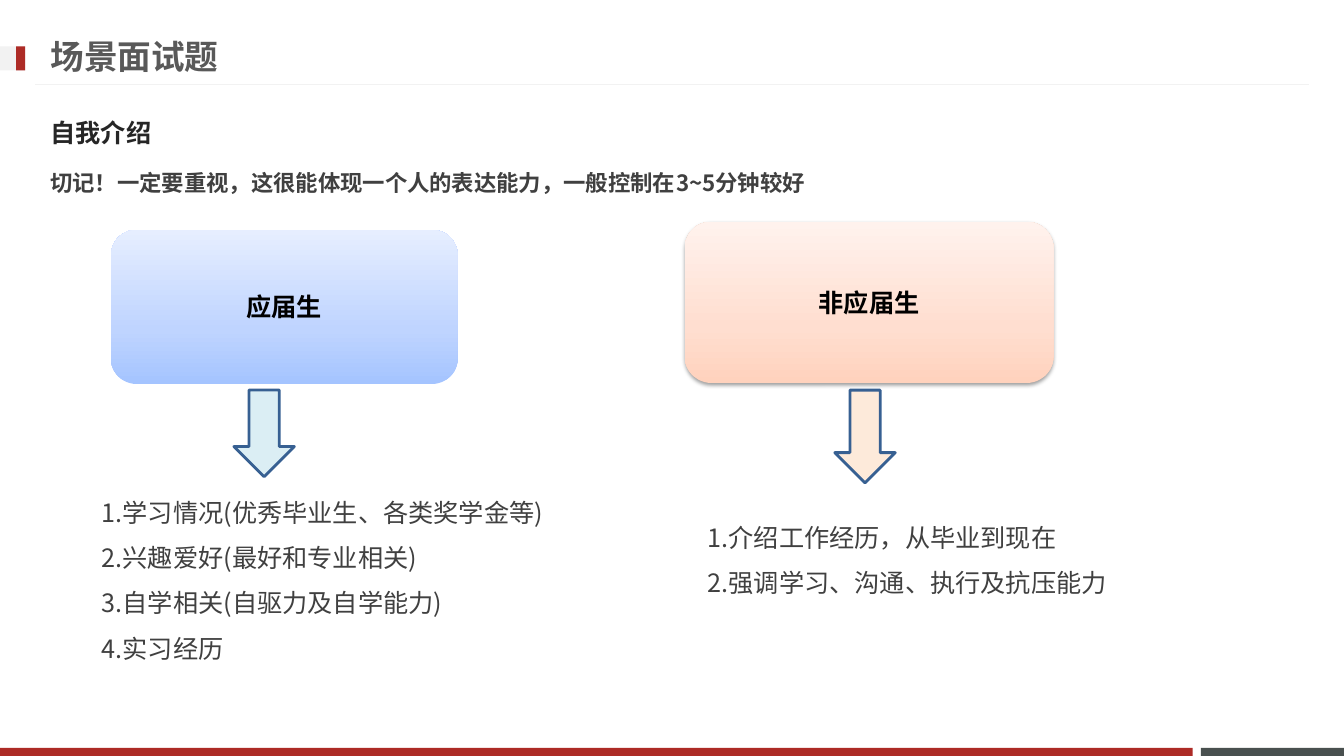
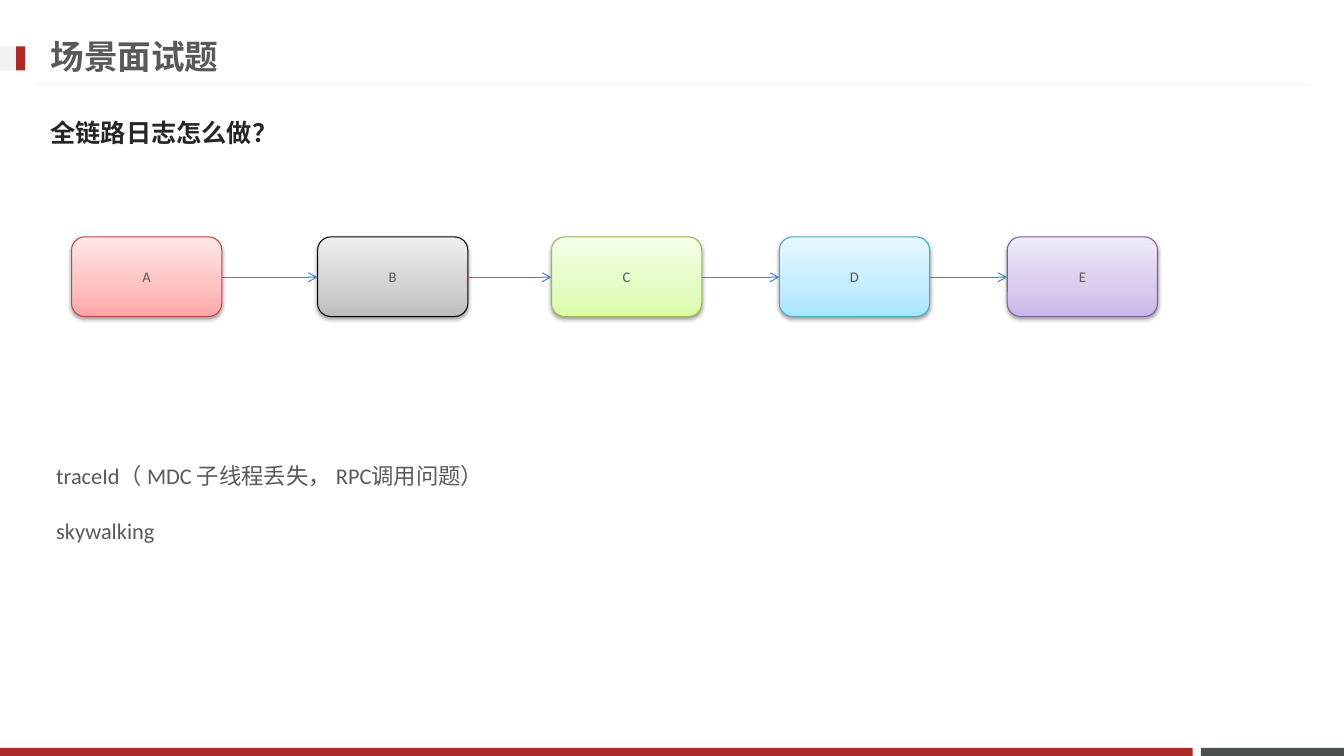
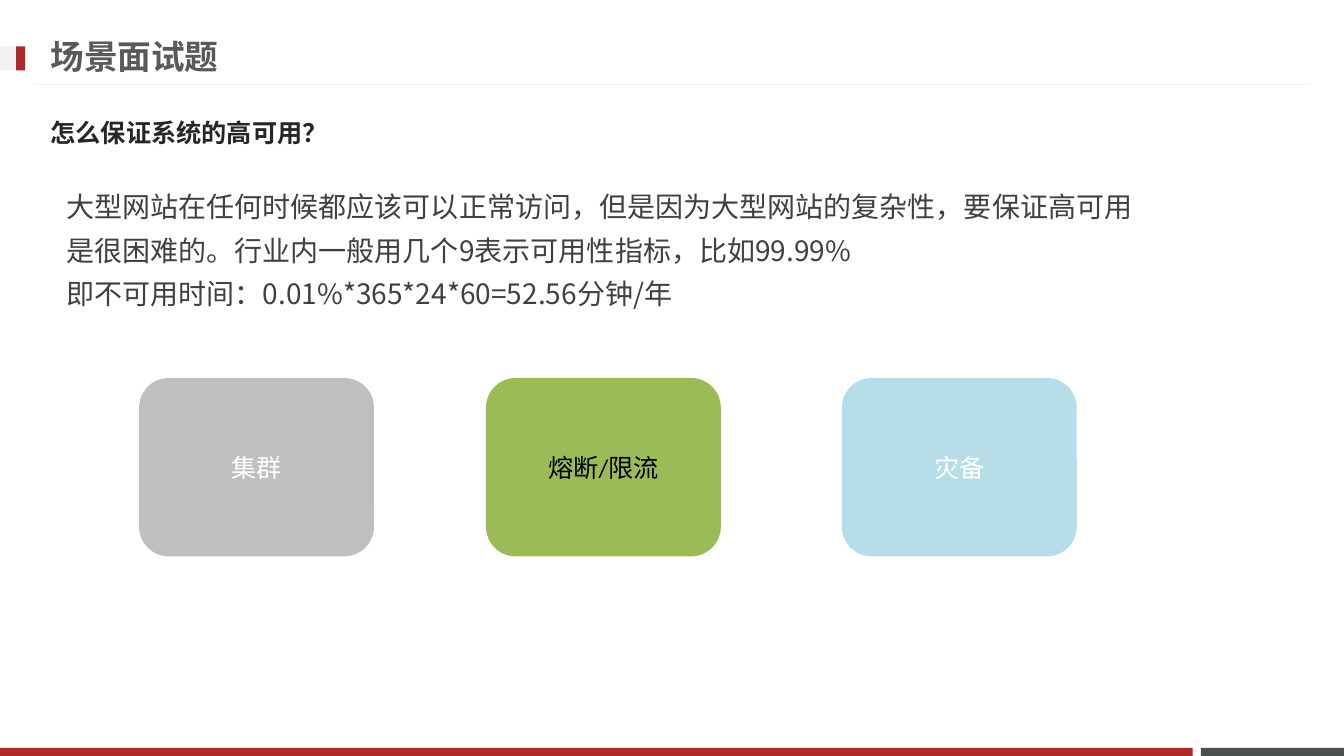
"""Build three interview-question slides with a shared layout."""

import dataclasses
import itertools
import typing

import lxml.etree
import pptx
import pptx.dml.color
import pptx.enum.shapes
import pptx.enum.text
import pptx.oxml.ns
import pptx.util

EMU_PER_PX = 9144
SHAPES = pptx.enum.shapes.MSO_SHAPE
ALIGN = pptx.enum.text.PP_ALIGN
ANCHOR = pptx.enum.text.MSO_ANCHOR
qn = pptx.oxml.ns.qn


class TextStyle(typing.NamedTuple):
    size: float
    color: str
    font: str = "Noto Sans CJK SC"
    bold: bool = False
    line_spacing: float = 1.0
    gap: float = 0


@dataclasses.dataclass(frozen=True)
class Theme:
    red: str = "AD2B26"
    slate: str = "49504F"
    pale: str = "F2F2F2"
    arrow_line: str = "376092"
    link_line: str = "4B7EBC"
    east_asian: str = "Noto Sans CJK SC"
    title: TextStyle = TextStyle(24, "595959", "Calibri", True)
    heading: TextStyle = TextStyle(18, "262626", "Noto Sans CJK JP", True)
    notice: TextStyle = TextStyle(16, "404040", bold=True)
    steps: TextStyle = TextStyle(18, "404040", line_spacing=1.5)
    prose: TextStyle = TextStyle(20, "404040", line_spacing=1.3)
    tools: TextStyle = TextStyle(16, "595959", "Calibri", gap=19.5)
    node: TextStyle = TextStyle(10.5, "595959", "Calibri")
    group: TextStyle = TextStyle(18, "000000", "Calibri", True)
    card_light: TextStyle = TextStyle(18, "FFFFFF", "Calibri")
    card_dark: TextStyle = TextStyle(18, "000000", "Calibri")


THEME = Theme()


class Box(typing.NamedTuple):
    left: int
    top: int
    width: int
    height: int


@dataclasses.dataclass(frozen=True)
class Panel:
    label: str
    box: Box
    fill: str | tuple[str, str, str]
    style: TextStyle
    line: str | None = None
    shadow: bool = False


class Band(typing.NamedTuple):
    box: Box
    color: str


class DownArrow(typing.NamedTuple):
    box: Box
    fill: str


class Node(typing.NamedTuple):
    label: str
    left: int
    gradient: tuple[str, str, str]
    line: str


TITLE_BOX = Box(40, 27, 959, 57)
HEADING_BOX = Box(40, 103, 1176, 57)
BANDS = (
    Band(Box(1191, 742, 142, 8), THEME.slate),
    Band(Box(0, 742, 1183, 8), THEME.red),
    Band(Box(0, 46, 25, 24), THEME.pale),
    Band(Box(16, 46, 9, 24), THEME.red),
)


def px(value: int) -> int:
    return pptx.util.Emu(value * EMU_PER_PX)


def rgb(color: str) -> pptx.dml.color.RGBColor:
    return pptx.dml.color.RGBColor.from_string(color)


def place(shape, box: Box) -> None:
    shape.left, shape.top, shape.width, shape.height = map(px, box)


def write(shape, lines: typing.Sequence[str], style: TextStyle,
          align=ALIGN.LEFT, anchor=ANCHOR.TOP) -> None:
    frame = shape.text_frame
    frame.text = "\n".join(lines)
    frame.word_wrap = True
    frame.auto_size = pptx.enum.text.MSO_AUTO_SIZE.NONE
    frame.vertical_anchor = anchor
    for index, paragraph in enumerate(frame.paragraphs):
        paragraph.alignment = align
        paragraph.line_spacing = style.line_spacing
        paragraph.space_before = pptx.util.Pt(style.gap if index else 0)
        for run in paragraph.runs:
            run.font.size = pptx.util.Pt(style.size)
            run.font.bold = style.bold
            run.font.color.rgb = rgb(style.color)
            run.font.name = style.font
    for properties in shape.element.iter(qn("a:rPr")):
        lxml.etree.SubElement(properties, qn("a:ea"), typeface=THEME.east_asian)


def add_text(slide, box: Box, lines: typing.Sequence[str], style: TextStyle) -> None:
    write(slide.shapes.add_textbox(*map(px, box)), lines, style)


def add_figure(slide, preset, box: Box, fill: str | tuple[str, str, str],
               line: str | None = None, line_width: float = 0.75):
    shape = slide.shapes.add_shape(preset, *map(px, box))
    shape.shadow.inherit = False
    if isinstance(fill, str):
        shape.fill.solid()
        shape.fill.fore_color.rgb = rgb(fill)
    else:
        apply_gradient(shape, fill)
    if line:
        shape.line.color.rgb = rgb(line)
        shape.line.width = pptx.util.Pt(line_width)
    else:
        shape.line.fill.background()
    return shape


def apply_gradient(shape, colors: tuple[str, str, str]) -> None:
    shape.fill.gradient()
    shape.fill.gradient_angle = 90
    stops = shape.element.spPr.find(qn("a:gradFill")).find(qn("a:gsLst"))
    for stop in list(stops):
        stops.remove(stop)
    for position, color in zip((0, 35000, 100000), colors):
        stop = lxml.etree.SubElement(stops, qn("a:gs"), pos=str(position))
        lxml.etree.SubElement(stop, qn("a:srgbClr"), val=color)


def apply_shadow(shape) -> None:
    effects = shape.element.spPr.find(qn("a:effectLst"))
    shadow = lxml.etree.SubElement(effects, qn("a:outerShdw"), blurRad="40000",
                                   dist="20000", dir="5400000", rotWithShape="0")
    color = lxml.etree.SubElement(shadow, qn("a:srgbClr"), val="000000")
    lxml.etree.SubElement(color, qn("a:alpha"), val="38000")


def add_panel(slide, panel: Panel) -> None:
    shape = add_figure(slide, SHAPES.ROUNDED_RECTANGLE, panel.box, panel.fill, panel.line)
    if panel.shadow:
        apply_shadow(shape)
    write(shape, [panel.label], panel.style, ALIGN.CENTER, ANCHOR.MIDDLE)


def add_line(slide, start: tuple[int, int], end: tuple[int, int], color: str,
             arrow: bool = False):
    connector = slide.shapes.add_connector(
        pptx.enum.shapes.MSO_CONNECTOR.STRAIGHT, *map(px, start + end))
    connector.line.color.rgb = rgb(color)
    connector.line.width = pptx.util.Pt(0.75)
    properties = connector.element.spPr
    if arrow:
        lxml.etree.SubElement(properties.find(qn("a:ln")), qn("a:tailEnd"), type="arrow")
    lxml.etree.SubElement(properties, qn("a:effectLst"))
    return connector


def prepare_layout(layout, slide) -> None:
    for placeholder in list(layout.placeholders):
        index = placeholder.placeholder_format.idx
        if index > 1:
            layout.shapes.element.remove(placeholder.element)
        else:
            place(placeholder, HEADING_BOX if index else TITLE_BOX)
    decorations = [add_figure(slide, SHAPES.RECTANGLE, band.box, band.color) for band in BANDS]
    decorations.append(add_line(slide, (1298, 84), (35, 84), THEME.pale))
    for decoration in decorations:
        layout.shapes.element.append(decoration.element)


def fill_headings(slide, heading: str) -> None:
    title, body = slide.shapes.title, slide.placeholders[1]
    place(title, TITLE_BOX)
    place(body, HEADING_BOX)
    write(title, ["场景面试题"], THEME.title, anchor=ANCHOR.MIDDLE)
    write(body, [heading], THEME.heading, anchor=ANCHOR.MIDDLE)
    for paragraph in body.element.iter(qn("a:pPr")):
        paragraph.set("marL", "0")
        paragraph.set("indent", "0")
        lxml.etree.SubElement(paragraph, qn("a:buNone"))


def build_introduction(slide) -> None:
    fill_headings(slide, "自我介绍")
    add_text(slide, Box(40, 163, 1154, 37),
             ["切记！一定要重视，这很能体现一个人的表达能力，一般控制在3~5分钟较好"], THEME.notice)
    for panel in (
        Panel("应届生", Box(110, 228, 344, 153), ("A4C4FF", "BFD4FF", "E6EEFF"), THEME.group),
        Panel("非应届生", Box(679, 220, 366, 160), ("FFD2BD", "FFDED0", "FFF2ED"),
              THEME.group, shadow=True),
    ):
        add_panel(slide, panel)
    for arrow in (DownArrow(Box(232, 387, 60, 86), "DBEEF4"),
                  DownArrow(Box(828, 387, 60, 92), "FDEADA")):
        add_figure(slide, SHAPES.DOWN_ARROW, arrow.box, arrow.fill, THEME.arrow_line, 2)
    add_text(slide, Box(91, 473, 462, 237), [
        "1.学习情况(优秀毕业生、各类奖学金等)",
        "2.兴趣爱好(最好和专业相关)",
        "3.自学相关(自驱力及自学能力)",
        "4.实习经历",
    ], THEME.steps)
    add_text(slide, Box(692, 498, 470, 101),
             ["1.介绍工作经历，从毕业到现在", "2.强调学习、沟通、执行及抗压能力"], THEME.steps)


def build_tracing(slide) -> None:
    fill_headings(slide, "全链路日志怎么做？")
    top, width, height = 235, 149, 79
    nodes = (
        Node("A", 71, ("FFA6A5", "FFC0BF", "FFE7E7"), "BF4C48"),
        Node("B", 315, ("BDBDBD", "D1D1D1", "EEEEEE"), "000000"),
        Node("C", 547, ("DAFDA7", "E4FCC2", "F5FFE7"), "98B955"),
        Node("D", 773, ("A7E6FF", "C1EDFF", "E7F8FF"), "46AAC5"),
        Node("E", 999, ("C9B5E8", "D8CBEE", "F0EAF9"), "7D60A0"),
    )
    for node in nodes:
        add_panel(slide, Panel(node.label, Box(node.left, top, width, height),
                               node.gradient, THEME.node, node.line, True))
    middle = top + height // 2 + 1
    for source, target in itertools.pairwise(nodes):
        add_line(slide, (source.left + width, middle), (target.left, middle),
                 THEME.link_line, arrow=True)
    add_text(slide, Box(46, 454, 1127, 98),
             ["traceId（ MDC 子线程丢失， RPC调用问题）", "skywalking"], THEME.tools)


def build_availability(slide) -> None:
    fill_headings(slide, "怎么保证系统的高可用？")
    add_text(slide, Box(56, 173, 1103, 141), [
        "大型网站在任何时候都应该可以正常访问，但是因为大型网站的复杂性，"
        "要保证高可用是很困难的。行业内一般用几个9表示可用性指标，比如99.99%",
        "即不可用时间：0.01%*365*24*60=52.56分钟/年",
    ], THEME.prose)
    for label, left, fill, style in (
        ("集群", 138, "BFBFBF", THEME.card_light),
        ("熔断/限流", 482, "9BBB59", THEME.card_dark),
        ("灾备", 835, "B7DEE8", THEME.card_light),
    ):
        add_panel(slide, Panel(label, Box(left, 375, 233, 177), fill, style))


def main() -> None:
    presentation = pptx.Presentation()
    presentation.slide_width, presentation.slide_height = px(1333), px(750)
    layout = presentation.slide_layouts[1]
    builders = (build_introduction, build_tracing, build_availability)
    slides = [presentation.slides.add_slide(layout) for _ in builders]
    prepare_layout(layout, slides[0])
    for build, slide in zip(builders, slides):
        build(slide)
    presentation.save("out.pptx")


if __name__ == "__main__":
    main()
